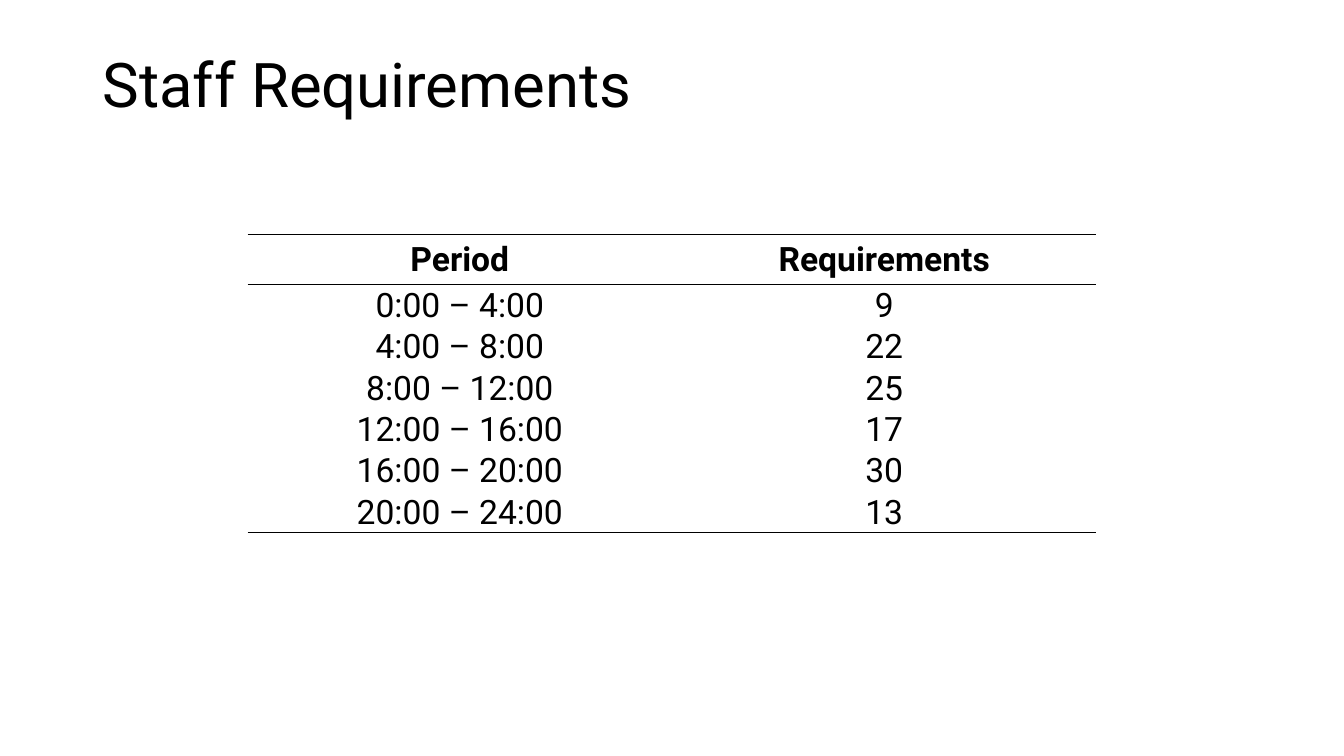
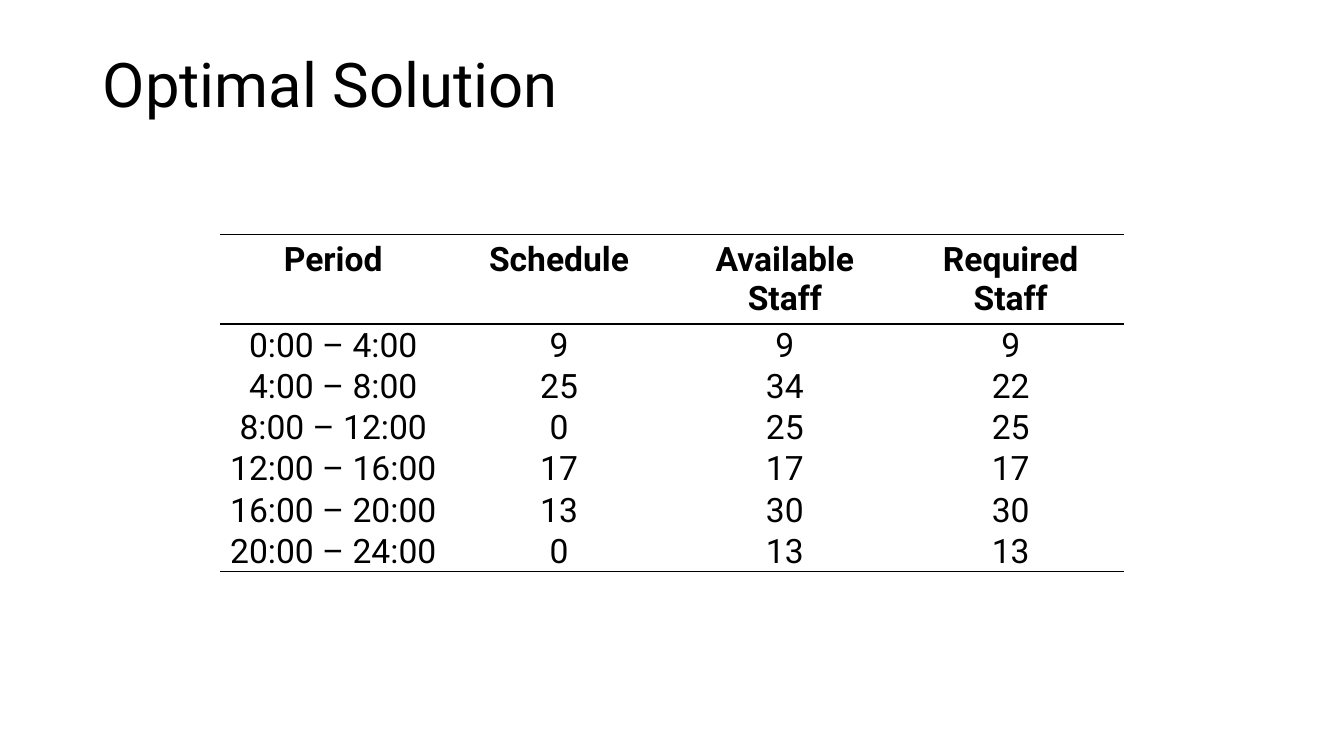
"""Build two slides with the staffing requirements and the optimal schedule."""
from lxml import etree
from pptx import Presentation
from pptx.dml.color import RGBColor
from pptx.enum.text import MSO_ANCHOR, MSO_AUTO_SIZE, PP_ALIGN
from pptx.oxml.ns import qn
from pptx.util import Inches, Pt

FONT = "Roboto"
COLORS = {"text": "000000", "rule": "000000", "background": "FFFFFF"}
SLIDE_W, SLIDE_H = 13.33, 7.5
TABLE_TOP, ROW_H = 2.33, 0.41
PLAIN_STYLE = "{2D5ABB26-0587-4C30-8999-92F81FD0307C}"

PERIODS = ["0:00 – 4:00", "4:00 – 8:00", "8:00 – 12:00",
           "12:00 – 16:00", "16:00 – 20:00", "20:00 – 24:00"]
REQUIRED = [9, 22, 25, 17, 30, 13]
SCHEDULE = [9, 25, 0, 17, 13, 0]
AVAILABLE = [9, 34, 25, 17, 30, 13]

SLIDES = [
    ("Staff Requirements", 4.21,
     {"Period": PERIODS, "Requirements": REQUIRED}),
    ("Optimal Solution", 2.24,
     {"Period": PERIODS, "Schedule": SCHEDULE,
      "Available Staff": AVAILABLE, "Required Staff": REQUIRED}),
]


def set_font(p, size, bold=False):
    p.font.name, p.font.size, p.font.bold = FONT, Pt(size), bold
    p.font.color.rgb = RGBColor.from_string(COLORS["text"])


def add_title(s, text):
    sp = s.shapes.title
    sp.left, sp.top, sp.width, sp.height = map(Inches, (0.92, 0.14, 11.5, 1.45))
    tf = sp.text_frame
    tf.text = text
    tf.auto_size = MSO_AUTO_SIZE.NONE
    tf.vertical_anchor = MSO_ANCHOR.MIDDLE
    p = tf.paragraphs[0]
    p.alignment, p.line_spacing = PP_ALIGN.LEFT, 0.9
    set_font(p, 44)


def add_rule(cell, edge):
    tc_pr = cell._tc.get_or_add_tcPr()
    ln = etree.SubElement(tc_pr, qn(f"a:{edge}"), w=str(Pt(1)))
    fill = etree.SubElement(ln, qn("a:solidFill"))
    etree.SubElement(fill, qn("a:srgbClr"), val=COLORS["rule"])


def fill_cell(cell, text, is_header, is_last):
    cell.text = str(text)
    p = cell.text_frame.paragraphs[0]
    p.alignment = PP_ALIGN.CENTER
    set_font(p, 24, is_header)
    if is_header:
        add_rule(cell, "lnT")
    else:
        cell.vertical_anchor = MSO_ANCHOR.BOTTOM
        cell.margin_left = cell.margin_top = cell.margin_right = Inches(0.01)
        cell.margin_bottom = 0
    if is_header or is_last:
        add_rule(cell, "lnB")
    cell.fill.background()


def add_staff_table(s, col_w, columns):
    rows = [list(columns), *zip(*columns.values())]
    width = col_w * len(columns)
    frame = s.shapes.add_table(
        len(rows), len(columns), Inches((SLIDE_W - width) / 2),
        Inches(TABLE_TOP), Inches(width), Inches(ROW_H * len(rows)))
    table = frame.table
    table.first_row = table.horz_banding = False
    for style in frame.element.iter(qn("a:tableStyleId")):
        style.text = PLAIN_STYLE
    for col in table.columns:
        col.width = Inches(col_w)
    for r, values in enumerate(rows):
        table.rows[r].height = Inches(ROW_H)
        for c, value in enumerate(values):
            fill_cell(table.cell(r, c), value, r == 0, r == len(rows) - 1)


prs = Presentation()
prs.slide_width, prs.slide_height = Inches(SLIDE_W), Inches(SLIDE_H)
background = prs.slide_master.background.fill
background.solid()
background.fore_color.rgb = RGBColor.from_string(COLORS["background"])
for title, col_w, columns in SLIDES:
    s = prs.slides.add_slide(prs.slide_layouts[5])
    add_title(s, title)
    add_staff_table(s, col_w, columns)
prs.save("out.pptx")
